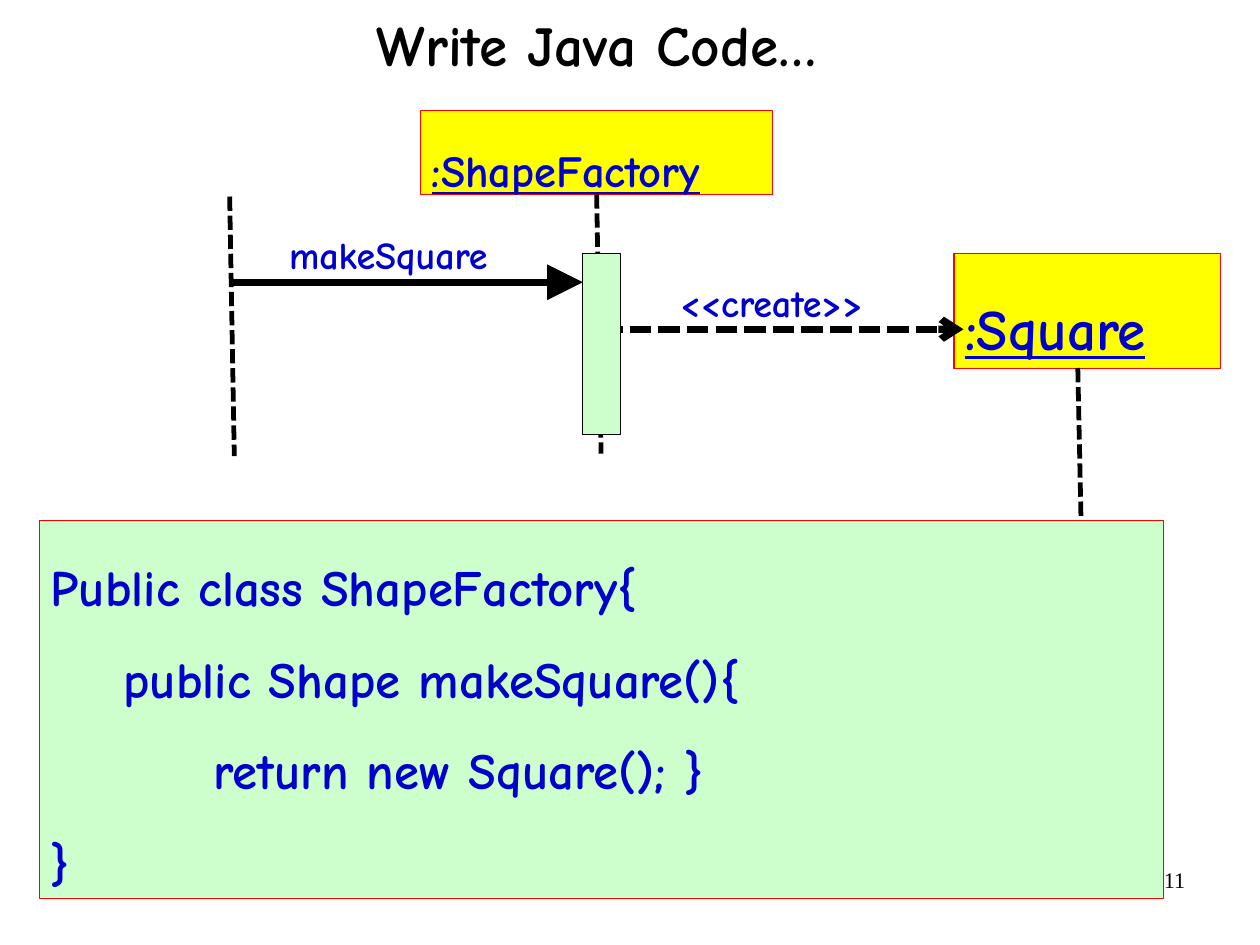
"""Build a sequence diagram slide with the matching Java code."""
from dataclasses import dataclass

import lxml.etree
import pptx
import pptx.dml.color
import pptx.enum.dml
import pptx.enum.shapes
import pptx.enum.text
import pptx.oxml.ns
import pptx.slide
import pptx.util

Pt = pptx.util.Pt
Align = pptx.enum.text.PP_ALIGN
Anchor = pptx.enum.text.MSO_ANCHOR
COMIC = "Comic Neue"
BLUE, BLACK, RED = "0000CC", "000000", "FF0000"
YELLOW, GREEN = "FFFF00", "CCFFCC"


@dataclass
class Label:
    text: str
    size: float
    color: str = BLUE
    font: str = COMIC
    bold: bool = True
    underline: bool = False
    spacing: float = 1.0
    align: Align = Align.LEFT
    anchor: Anchor = Anchor.TOP
    margins: tuple[float, float] = (7.2, 3.6)


@dataclass
class Box:
    left: float
    top: float
    width: float
    height: float
    label: Label | None = None
    fill: str | None = None
    line: str = RED


@dataclass
class Line:
    start: tuple[float, float]
    end: tuple[float, float]
    width: float = 3
    dashed: bool = True
    head: str | None = None
    head_size: str = "med"


def rgb(color: str) -> pptx.dml.color.RGBColor:
    """Turn a hex string into a colour."""
    return pptx.dml.color.RGBColor.from_string(color)


def write_label(frame, label: Label) -> None:
    """Fill a text frame and format its runs."""
    frame.word_wrap = True
    frame.vertical_anchor = label.anchor
    frame.margin_left = frame.margin_right = Pt(label.margins[0])
    frame.margin_top = frame.margin_bottom = Pt(label.margins[1])
    frame.text = label.text
    for para in frame.paragraphs:
        para.alignment = label.align
        para.line_spacing = label.spacing
        for span in para.runs:
            span.font.name = label.font
            span.font.size = Pt(label.size)
            span.font.bold = label.bold
            span.font.underline = label.underline
            span.font.color.rgb = rgb(label.color)


def draw_box(page: pptx.slide.Slide, box: Box):
    """Draw a filled rectangle, or a plain text box when there is no fill."""
    place = [Pt(value) for value in (box.left, box.top, box.width, box.height)]
    if box.fill:
        shape = page.shapes.add_shape(
            pptx.enum.shapes.MSO_SHAPE.RECTANGLE, *place)
        shape.shadow.inherit = False
        shape.fill.solid()
        shape.fill.fore_color.rgb = rgb(box.fill)
        shape.line.color.rgb = rgb(box.line)
        shape.line.width = Pt(0.75)
    else:
        shape = page.shapes.add_textbox(*place)
    if box.label:
        write_label(shape.text_frame, box.label)
    return shape


def draw_line(page: pptx.slide.Slide, line: Line):
    """Draw a straight connector with an optional dash and arrowhead."""
    connector = page.shapes.add_connector(
        pptx.enum.shapes.MSO_CONNECTOR.STRAIGHT,
        *[Pt(value) for value in line.start + line.end])
    connector.line.color.rgb = rgb(BLACK)
    connector.line.width = Pt(line.width)
    if line.dashed:
        connector.line.dash_style = pptx.enum.dml.MSO_LINE.SQUARE_DOT
    if line.head:
        outline = connector.line._get_or_add_ln()
        lxml.etree.SubElement(
            outline, pptx.oxml.ns.qn("a:tailEnd"), type=line.head,
            w=line.head_size, len=line.head_size)
    lxml.etree.SubElement(
        connector._element.spPr, pptx.oxml.ns.qn("a:effectLst"))
    return connector


def main() -> None:
    """Build and save the slide."""
    deck = pptx.Presentation()
    deck.slide_width, deck.slide_height = Pt(793.75), Pt(595.25)
    page = deck.slides.add_slide(deck.slide_layouts[6])

    draw_box(page, Box(568.8, 542.2, 185, 41, Label(
        "11", 14, BLACK, "Times New Roman", bold=False, align=Align.RIGHT)))
    factory = draw_box(page, Box(265, 69.8, 221.8, 52.6, Label(
        ":ShapeFactory", 28, underline=True, spacing=1.5), YELLOW))
    draw_box(page, Box(601, 159.8, 167.8, 72.5, Label(
        ":Square", 36, underline=True, spacing=1.5), YELLOW))

    factory_life = draw_line(page, Line((375.9, 122.4), (378.7, 285.8)))
    factory_life.begin_connect(factory, 2)
    draw_line(page, Line((679, 231.8), (681.8, 364.3)))
    draw_line(page, Line((378.7, 207.4), (607, 207.4), 4.5, head="arrow"))
    draw_box(page, Box(421.2, 177.8, 158.4, 30.2, Label(
        "<<create>>", 24, spacing=0.8)))

    code = "\n".join((
        "Public class ShapeFactory{",
        "    public Shape makeSquare(){",
        "         return new Square(); }",
        "}"))
    draw_box(page, Box(25, 327.6, 707.8, 238.3, Label(
        code, 32, spacing=1.5), GREEN))

    draw_line(page, Line((144.7, 123.8), (147.6, 287.3)))
    draw_line(page, Line((144.7, 177.8), (367.2, 177.8), 4.5,
                         dashed=False, head="triangle", head_size="lg"))
    draw_box(page, Box(175, 147.6, 198, 30.2, Label(
        "makeSquare", 24, spacing=0.8)))
    draw_box(page, Box(367, 159.8, 23.8, 113.8, fill=GREEN, line=BLACK))
    draw_box(page, Box(37.4, -18.7, 676.8, 98.6, Label(
        "Write Java Code…", 36, BLACK, spacing=0.88, align=Align.CENTER,
        anchor=Anchor.MIDDLE, margins=(0, 0))))
    deck.save("out.pptx")


if __name__ == "__main__":
    main()
